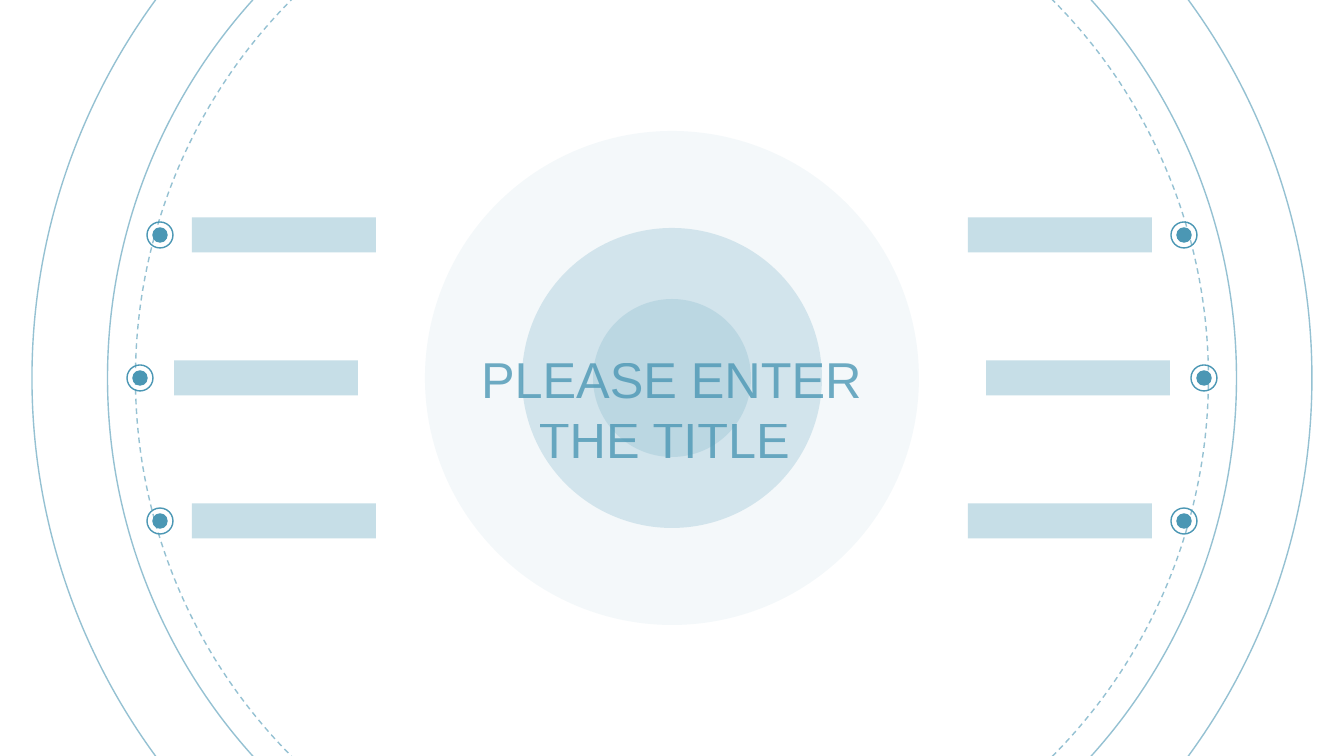
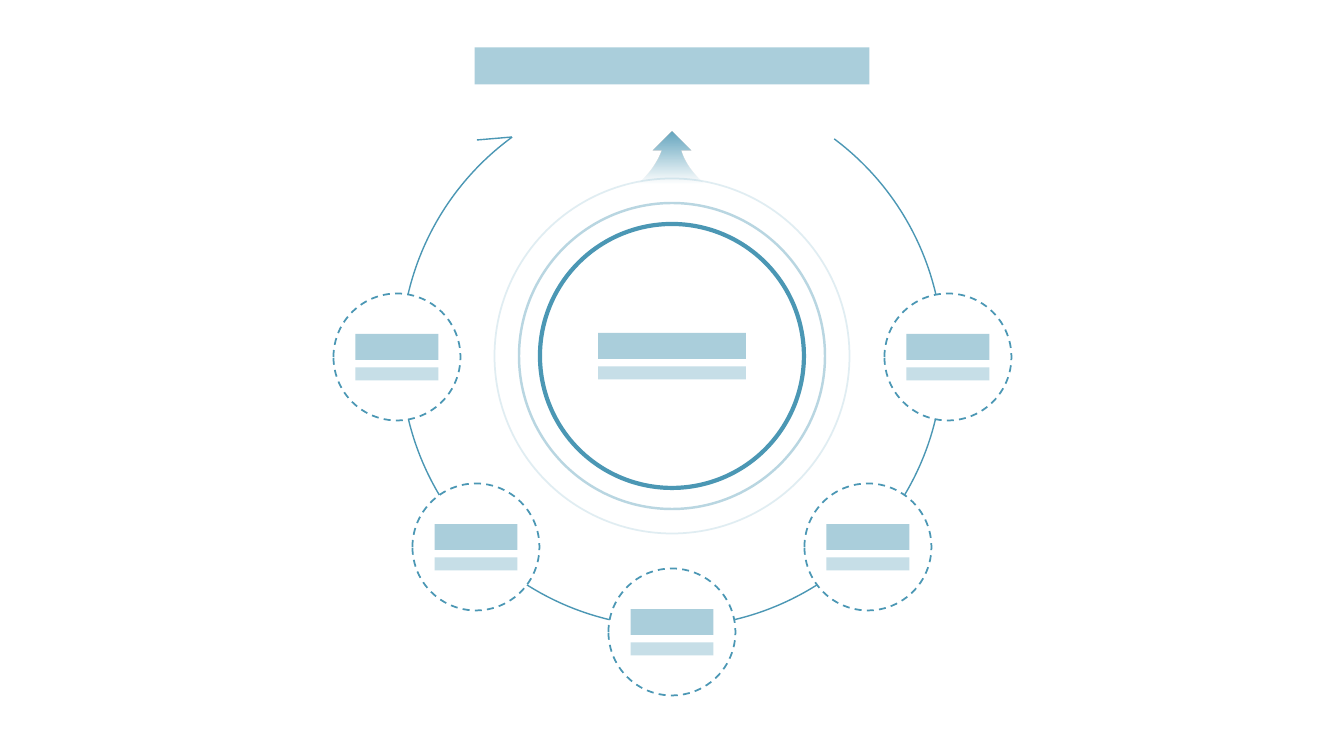
from lxml.etree import SubElement
from pptx import Presentation
from pptx.dml.color import RGBColor
from pptx.enum.dml import MSO_LINE
from pptx.enum.shapes import MSO_CONNECTOR, MSO_SHAPE
from pptx.enum.text import PP_ALIGN
from pptx.oxml.ns import qn
from pptx.util import Emu, Pt

# Shared scale and palette
PX = 914400 / 100.8
WIDTH, HEIGHT = 1344, 756
CENTER_X = WIDTH // 2
BLUE, BAR_BLUE, PALE_BLUE, WHITE = "4B97B4", "AACEDB", "C6DEE7", "FFFFFF"


def paint(fill, color, alpha=100):
    fill.solid()
    fill.fore_color.rgb = RGBColor.from_string(color)
    if alpha < 100:
        for rgb in fill._xPr.find(qn("a:solidFill")):
            SubElement(rgb, qn("a:alpha"), val=str(alpha * 1000))


def draw(shapes, kind, cx, cy, width, height, fill=None, fill_alpha=100,
         line_width=0, line_alpha=100, dash=None):
    """Draw a preset shape around its centre, measured in px."""
    left, top = cx - width / 2, cy - height / 2
    shape = shapes.add_shape(kind, *(Emu(round(v * PX)) for v in (left, top, width, height)))
    shape.shadow.inherit = False
    if fill:
        paint(shape.fill, fill, fill_alpha)
    else:
        shape.fill.background()
    if line_width:
        paint(shape.line.fill, BLUE, line_alpha)
        shape.line.width = Pt(line_width)
        if dash:
            shape.line.dash_style = dash
    else:
        shape.line.fill.background()
    return shape


prs = Presentation()
prs.slide_width, prs.slide_height = Emu(round(WIDTH * PX)), Emu(round(HEIGHT * PX))
blank = prs.slide_layouts[6]

# Slide 1: title in a disc, entries along the orbits
shapes = prs.slides.add_slide(blank).shapes
middle_y = HEIGHT // 2
for diameter, alpha in ((494, 6), (300, 20), (158, 17)):
    draw(shapes, MSO_SHAPE.OVAL, CENTER_X, middle_y, diameter, diameter, BLUE, alpha)
for diameter, dash in ((1280, None), (1129, None), (1073, MSO_LINE.DASH)):
    draw(shapes, MSO_SHAPE.OVAL, CENTER_X, middle_y, diameter, diameter,
         line_width=1, line_alpha=59, dash=dash)

# Entries: marker and bar, mirrored left and right
for side in (-1, 1):
    for row, marker_offset, bar_offset in ((-1, 512, 388), (0, 532, 406), (1, 512, 388)):
        y = middle_y + row * 143
        marker_x = CENTER_X + side * marker_offset
        draw(shapes, MSO_SHAPE.OVAL, marker_x, y, 26, 26, line_width=1)
        draw(shapes, MSO_SHAPE.OVAL, marker_x, y, 14, 14, BLUE, line_width=1)
        draw(shapes, MSO_SHAPE.RECTANGLE, CENTER_X + side * bar_offset, y, 184, 35, PALE_BLUE)

# Title
title = shapes.add_textbox(*(Emu(round(v * PX)) for v in (445, 343, 453, 72))).text_frame
title.word_wrap = True
title.text = "PLEASE ENTER THE TITLE "
title.paragraphs[0].alignment = PP_ALIGN.CENTER
title_font = title.paragraphs[0].runs[0].font
title_font.name, title_font.size = "Arial", Pt(36)
paint(title_font.fill, BLUE, 80)

# Slide 2: hub with five nodes on an open circle
shapes = prs.slides.add_slide(blank).shapes
hub_y = 356
for diameter, line_width, alpha in ((355, 1.25, 17), (306, 1.75, 38), (264, 3, 100)):
    draw(shapes, MSO_SHAPE.OVAL, CENTER_X, hub_y, diameter, diameter,
         line_width=line_width, line_alpha=alpha)

# Open circle, from upper right clockwise to upper left
orbit = draw(shapes, MSO_SHAPE.ARC, CENTER_X, hub_y, 542, 542, line_width=1)
for index, degrees in enumerate((306.77, 233.87)):
    orbit.adjustments[index] = degrees * 60000 / 100000
barb = shapes.add_connector(MSO_CONNECTOR.STRAIGHT,
                            *(Emu(round(v * PX)) for v in (512, 137, 477, 140)))
paint(barb.line.fill, BLUE)
barb.line.width = Pt(1)
SubElement(barb._element.spPr, qn("a:effectLst"))

# Fading arrow out of the hub: curved flanks and a straight head
left_flank = ((633, 188), (649, 176), (657, 164), (662, 151))
right_flank = ((681, 151), (684, 161), (691, 174), (710, 189))
head = [(653, 151), (672, 132), (691, 151)]
flank_points = []
for curve in (left_flank, right_flank):
    points = []
    for step in range(13):
        t = step / 12
        weights = ((1 - t) ** 3, 3 * t * (1 - t) ** 2, 3 * t * t * (1 - t), t ** 3)
        points.append(tuple(sum(w * p[axis] for w, p in zip(weights, curve)) for axis in (0, 1)))
    flank_points.append(points)
outline = [(round(x * PX), round(y * PX))
           for x, y in flank_points[0] + head + flank_points[1]]
builder = shapes.build_freeform(*outline[0])
builder.add_line_segments(outline[1:], close=True)
arrow = builder.convert_to_shape()
arrow.shadow.inherit = False
arrow.line.fill.background()
arrow.fill.gradient()
arrow.fill.gradient_angle = 270
for stop, position, alpha in zip(arrow.fill.gradient_stops, (0, 0.91), (86, 0)):
    stop.position = position
    stop.color.rgb = RGBColor.from_string(BLUE)
    rgb = stop._gs.find(qn("a:srgbClr"))
    SubElement(rgb, qn("a:alpha"), val=str(alpha * 1000))

# Heading bar
draw(shapes, MSO_SHAPE.RECTANGLE, CENTER_X, 66, 395, 37, BAR_BLUE)

# Nodes, then the pair of bars in each node and in the hub
nodes = [(948, 357), (397, 357), (868, 547), (476, 547), (672, 632)]
for x, y in nodes:
    draw(shapes, MSO_SHAPE.OVAL, x, y, 127, 127, WHITE, line_width=1.25, dash=MSO_LINE.DASH)
for x, y, bar_width in [(*node, 83) for node in nodes] + [(CENTER_X, hub_y, 148)]:
    label = shapes.add_group_shape().shapes
    draw(label, MSO_SHAPE.RECTANGLE, x, y + 17, bar_width, 13, PALE_BLUE)
    draw(label, MSO_SHAPE.RECTANGLE, x, y - 10, bar_width, 26, BAR_BLUE)

prs.save("out.pptx")
